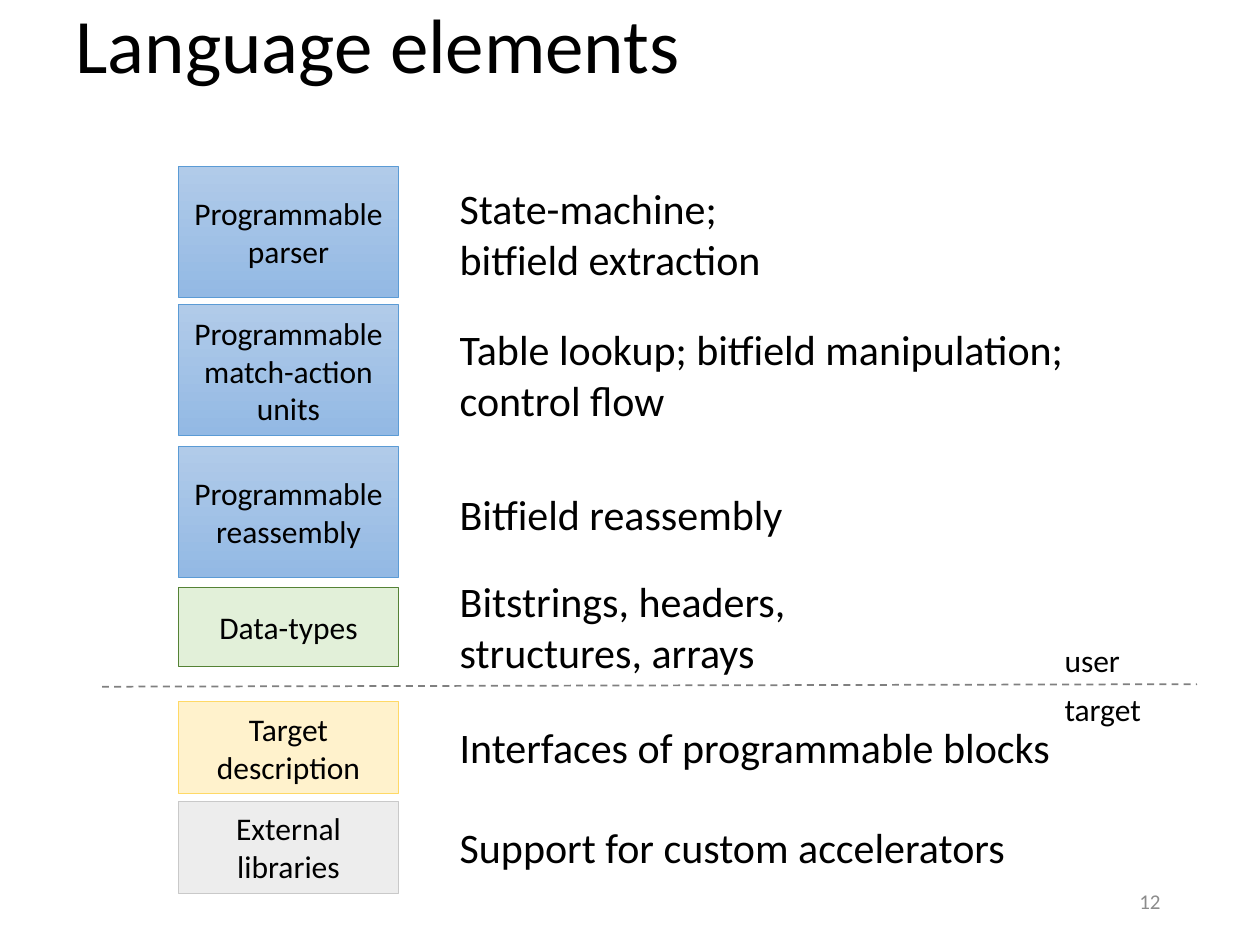
from dataclasses import dataclass

import pptx
import pptx.dml.color
import pptx.enum.dml
import pptx.enum.shapes
import pptx.enum.text
import pptx.oxml.ns
import pptx.util
from lxml import etree

ALIGN = pptx.enum.text.PP_ALIGN
ANCHOR = pptx.enum.text.MSO_ANCHOR
AUTO_SIZE = pptx.enum.text.MSO_AUTO_SIZE
Inches = pptx.util.Inches

BLOCK_LEFT, BLOCK_WIDTH = 1.42, 1.74
MEANING_LEFT = 3.55
BLUE = ("B1CBE9", "93B9E4")


@dataclass
class Element:
    name: str
    top: float
    height: float
    fills: tuple[str, ...]
    border: str
    meaning: str
    meaning_top: float
    meaning_width: float


@dataclass
class Label:
    text: str
    left: float
    top: float
    width: float
    height: float = 0.4
    size: int = 18
    color: str = "000000"
    align: ALIGN = ALIGN.LEFT
    anchor: ANCHOR = ANCHOR.TOP
    wrap: bool = False


ELEMENTS = [
    Element("Programmable\nparser", 1.32, 1.04, BLUE, "5B9BD5",
            "State-machine; \vbitfield extraction", 1.4, 2.63),
    Element("Programmable\nmatch-action\nunits", 2.42, 1.04, BLUE, "5B9BD5",
            "Table lookup; bitfield manipulation; \vcontrol flow", 2.52, 5.12),
    Element("Programmable\nreassembly", 3.54, 1.04, BLUE, "5B9BD5",
            "Bitfield reassembly", 3.83, 2.8),
    Element("Data-types", 4.66, 0.63, ("E2F0D9",), "548235",
            "Bitstrings, headers,\vstructures, arrays", 4.52, 2.81),
    Element("Target\ndescription", 5.57, 0.73, ("FFF2CC",), "FFD966",
            "Interfaces of programmable blocks", 5.68, 4.93),
    Element("External libraries", 6.36, 0.73, ("EDEDED",), "C9C9C9",
            "Support for custom accelerators ", 6.47, 4.64),
]

LABELS = [
    Label("user", 8.35, 5.04, 0.65),
    Label("target", 8.35, 5.43, 0.81),
    Label("12", 7.14, 6.95, 2.17, size=12, color="8C8C8C",
          align=ALIGN.RIGHT, anchor=ANCHOR.MIDDLE, wrap=True),
]


def set_color(color_format, value: str) -> None:
    color_format.rgb = pptx.dml.color.RGBColor.from_string(value)


def write_text(shape, text: str, size: int, color: str = "000000",
               align: ALIGN = ALIGN.LEFT, anchor: ANCHOR = ANCHOR.TOP,
               wrap: bool = True) -> None:
    frame = shape.text_frame
    frame.text = text
    frame.word_wrap = wrap
    frame.vertical_anchor = anchor
    frame.auto_size = AUTO_SIZE.NONE if wrap else AUTO_SIZE.SHAPE_TO_FIT_TEXT
    for paragraph in frame.paragraphs:
        paragraph.alignment = align
        paragraph.font.name = "Calibri"
        paragraph.font.size = pptx.util.Pt(size)
        set_color(paragraph.font.color, color)


def add_title(slide, text: str) -> None:
    title = slide.shapes.title
    title.left, title.top = Inches(0.5), Inches(0)
    title.width, title.height = Inches(9), Inches(0.77)
    write_text(title, text, 44, anchor=ANCHOR.MIDDLE)
    title.text_frame.paragraphs[0].line_spacing = 0.9


def add_label(slide, label: Label) -> None:
    box = slide.shapes.add_textbox(Inches(label.left), Inches(label.top),
                                   Inches(label.width), Inches(label.height))
    write_text(box, label.text, label.size, label.color,
               label.align, label.anchor, label.wrap)


def add_element(slide, element: Element) -> None:
    block = slide.shapes.add_shape(
        pptx.enum.shapes.MSO_SHAPE.RECTANGLE, Inches(BLOCK_LEFT),
        Inches(element.top), Inches(BLOCK_WIDTH), Inches(element.height))
    block.shadow.inherit = False
    if len(element.fills) > 1:
        block.fill.gradient()
        block.fill.gradient_angle = 270
        for stop, color in zip(block.fill.gradient_stops, element.fills):
            set_color(stop.color, color)
    else:
        block.fill.solid()
        set_color(block.fill.fore_color, element.fills[0])
    set_color(block.line.color, element.border)
    block.line.width = pptx.util.Pt(0.5)
    write_text(block, element.name, 18, align=ALIGN.CENTER, anchor=ANCHOR.MIDDLE)
    height = 0.91 if "\v" in element.meaning else 0.5
    add_label(slide, Label(element.meaning, MEANING_LEFT, element.meaning_top,
                           element.meaning_width, height, size=24))


def add_divider(slide) -> None:
    divider = slide.shapes.add_connector(
        pptx.enum.shapes.MSO_CONNECTOR.STRAIGHT,
        Inches(0.81), Inches(5.45), Inches(9.5), Inches(5.43))
    set_color(divider.line.color, "808080")
    divider.line.width = pptx.util.Pt(1)
    divider.line.dash_style = pptx.enum.dml.MSO_LINE.DASH
    properties = divider._element.spPr
    etree.SubElement(properties, pptx.oxml.ns.qn("a:effectLst"))


def main() -> None:
    presentation = pptx.Presentation()
    presentation.slide_width = Inches(10)
    presentation.slide_height = Inches(7.5)
    slide = presentation.slides.add_slide(
        presentation.slide_layouts.get_by_name("Title Only"))
    add_title(slide, "Language elements")
    for element in ELEMENTS:
        add_element(slide, element)
    add_divider(slide)
    for label in LABELS:
        add_label(slide, label)
    presentation.save("out.pptx")


main()
